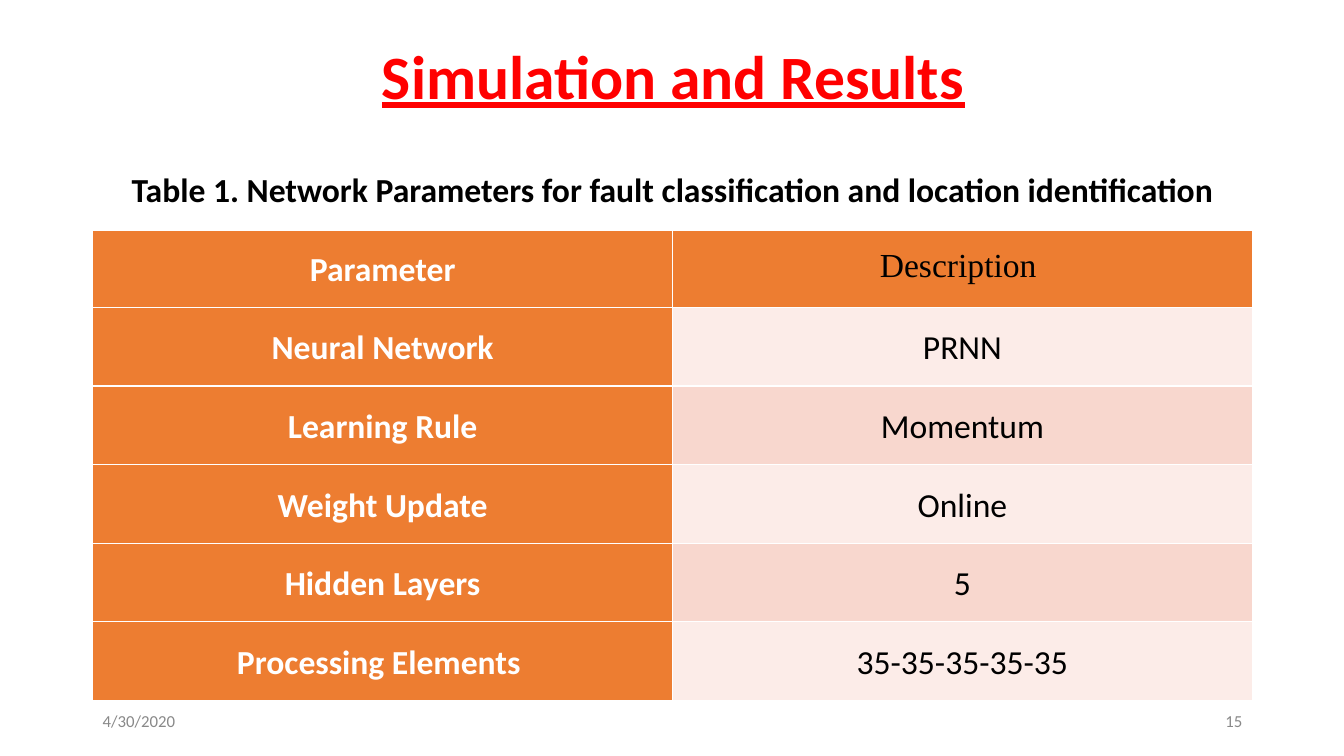
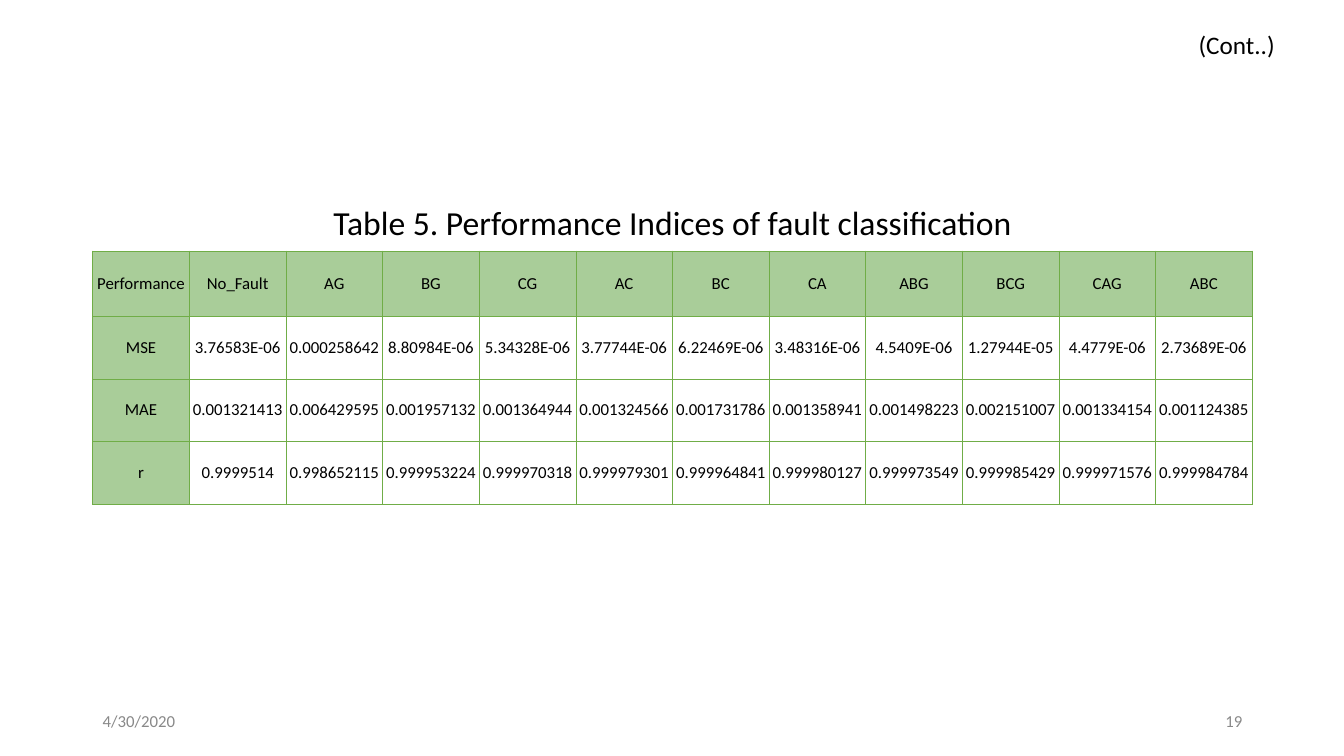
from dataclasses import dataclass

from lxml import etree
from pptx import Presentation
from pptx.dml.color import RGBColor
from pptx.enum.text import MSO_ANCHOR, PP_ALIGN
from pptx.oxml.ns import qn
from pptx.util import Inches, Pt

LEFT, CENTER, RIGHT = PP_ALIGN.LEFT, PP_ALIGN.CENTER, PP_ALIGN.RIGHT
TOP, MIDDLE = MSO_ANCHOR.TOP, MSO_ANCHOR.MIDDLE
TITLE_ONLY, BLANK = 5, 6


@dataclass(frozen=True)
class Theme:
    """Colours, fonts, type sizes and margins shared by the slides."""
    font: str = "Calibri"
    serif: str = "Times New Roman"
    black: str = "000000"
    white: str = "FFFFFF"
    red: str = "FF0000"
    grey: str = "898989"
    orange: str = "ED7D31"
    bands: tuple = ("FCECE8", "F8D7CE")
    green: str = "70AD47"
    light_green: str = "A9CD99"
    title_size: int = 44
    heading_size: int = 24
    note_size: int = 18
    small_size: int = 12
    left: float = 0.92
    width: float = 11.5


THEME = Theme()

PARAMETERS = [
    ("Parameter", "Description "),
    ("Neural Network", "PRNN"),
    ("Learning Rule", "Momentum"),
    ("Weight Update", "Online"),
    ("Hidden Layers", "5"),
    ("Processing Elements ", "35-35-35-35-35"),
]

INDICES = [
    ("Performance", "No_Fault", "AG", "BG", "CG", "AC", "BC", "CA",
     "ABG", "BCG", "CAG", "ABC"),
    ("MSE", "3.76583E-06", "0.000258642", "8.80984E-06", "5.34328E-06",
     "3.77744E-06", "6.22469E-06", "3.48316E-06", "4.5409E-06",
     "1.27944E-05", "4.4779E-06", "2.73689E-06"),
    ("MAE", "0.001321413", "0.006429595", "0.001957132", "0.001364944",
     "0.001324566", "0.001731786", "0.001358941", "0.001498223",
     "0.002151007", "0.001334154", "0.001124385"),
    ("r", "0.9999514", "0.998652115", "0.999953224", "0.999970318",
     "0.999979301", "0.999964841", "0.999980127", "0.999973549",
     "0.999985429", "0.999971576", "0.999984784"),
]


def style_paragraph(paragraph, size, color=THEME.black, align=LEFT,
                    bold=False, font=THEME.font, spacing=1.0):
    """Set the type and alignment of one paragraph."""
    paragraph.alignment = align
    paragraph.line_spacing = spacing
    paragraph.font.name = font
    paragraph.font.size = Pt(size)
    paragraph.font.bold = bold
    paragraph.font.color.rgb = RGBColor.from_string(color)


def add_text(slide, text, left, top, width, height, size, anchor=TOP, **style):
    """Add a text box holding one line."""
    box = slide.shapes.add_textbox(
        Inches(left), Inches(top), Inches(width), Inches(height))
    frame = box.text_frame
    frame.word_wrap = True
    frame.vertical_anchor = anchor
    frame.text = text
    style_paragraph(frame.paragraphs[0], size, **style)


def add_title(slide, text):
    """Place and format the title placeholder."""
    title = slide.shapes.title
    title.left, title.top = Inches(0.93), Inches(0.4)
    title.width, title.height = Inches(THEME.width), Inches(0.77)
    frame = title.text_frame
    frame.text = text
    frame.vertical_anchor = MIDDLE
    paragraph = frame.paragraphs[0]
    style_paragraph(paragraph, THEME.title_size, THEME.red, CENTER,
                    bold=True, spacing=0.9)
    paragraph.font.underline = True


def add_footer(slide, number):
    """Add the date and the slide number."""
    right_left = THEME.left + THEME.width - 3
    for text, left, align in (("4/30/2020", THEME.left, LEFT),
                              (number, right_left, RIGHT)):
        add_text(slide, text, left, 6.95, 3, 0.4, THEME.small_size,
                 MIDDLE, color=THEME.grey, align=align)


def add_table(slide, row_heights, column_count, top):
    """Add a plain table with equal columns across the content width."""
    table = slide.shapes.add_table(
        len(row_heights), column_count, Inches(THEME.left), Inches(top),
        Inches(THEME.width), Inches(sum(row_heights))).table
    table.first_row = table.horz_banding = False
    for column in table.columns:
        column.width = Inches(THEME.width / column_count)
    for row, height in zip(table.rows, row_heights):
        row.height = Inches(height)
    return table


def set_borders(cell, color, width, bottom_width=None):
    """Draw the four borders of a cell."""
    properties = cell._tc.get_or_add_tcPr()
    for side in ("lnL", "lnR", "lnT", "lnB"):
        points = bottom_width if side == "lnB" and bottom_width else width
        line = etree.SubElement(properties, qn("a:" + side), w=str(Pt(points)))
        fill = etree.SubElement(line, qn("a:solidFill"))
        etree.SubElement(fill, qn("a:srgbClr"), val=color)


def fill_cell(cell, text, fill, size, inset=0.0, anchor=TOP, **style):
    """Write a centred cell on a solid fill."""
    cell.fill.solid()
    cell.fill.fore_color.rgb = RGBColor.from_string(fill)
    cell.margin_left = cell.margin_right = Inches(inset)
    cell.margin_top = cell.margin_bottom = 0
    cell.vertical_anchor = anchor
    cell.text = text
    style_paragraph(cell.text_frame.paragraphs[0], size, align=CENTER, **style)


def add_parameter_table(slide):
    """Add the network parameters under a merged caption row."""
    row_count = len(PARAMETERS) + 1
    table = add_table(slide, [0.78] * row_count, 2, 1.49)
    common = {"size": THEME.heading_size, "inset": 0.07, "spacing": 1.5}
    caption = table.cell(0, 0)
    caption.merge(table.cell(0, 1))
    for column in range(2):
        set_borders(table.cell(0, column), THEME.white, 1, bottom_width=3)
    fill_cell(caption, "Table 1. Network Parameters for fault classification "
              "and location identification", THEME.white, bold=True, **common)
    for row, (name, value) in enumerate(PARAMETERS, start=1):
        is_header = row == 1
        name_cell, value_cell = table.cell(row, 0), table.cell(row, 1)
        for cell in (name_cell, value_cell):
            set_borders(cell, THEME.white, 1)
        fill_cell(name_cell, name, THEME.orange, color=THEME.white,
                  bold=True, **common)
        fill_cell(value_cell, value,
                  THEME.orange if is_header else THEME.bands[row % 2],
                  font=THEME.serif if is_header else THEME.font, **common)


def add_index_table(slide):
    """Add the performance indices for every fault class."""
    table = add_table(slide, [0.65, 0.62, 0.62, 0.62], len(INDICES[0]), 2.49)
    for row, values in enumerate(INDICES):
        for column, value in enumerate(values):
            cell = table.cell(row, column)
            is_heading = row == 0 or column == 0
            set_borders(cell, THEME.green, 0.5)
            fill_cell(cell, value,
                      THEME.light_green if is_heading else THEME.white,
                      THEME.small_size, anchor=MIDDLE)


def build_parameters_slide(presentation):
    """Build the slide with the network parameters."""
    slide = presentation.slides.add_slide(
        presentation.slide_layouts[TITLE_ONLY])
    add_title(slide, "Simulation and Results")
    add_parameter_table(slide)
    add_footer(slide, "15")


def build_indices_slide(presentation):
    """Build the continuation slide with the performance indices."""
    slide = presentation.slides.add_slide(presentation.slide_layouts[BLANK])
    add_footer(slide, "19")
    add_index_table(slide)
    add_text(slide, "(Cont..)", 11.79, 0.24, 0.97, 0.4, THEME.note_size)
    add_text(slide, "Table 5. Performance Indices of fault classification",
             THEME.left, 1.95, THEME.width, 0.5, THEME.heading_size,
             align=CENTER)


def main():
    """Create and save the presentation."""
    presentation = Presentation()
    presentation.slide_width = Inches(13.33)
    presentation.slide_height = Inches(7.5)
    build_parameters_slide(presentation)
    build_indices_slide(presentation)
    presentation.save("out.pptx")


main()
